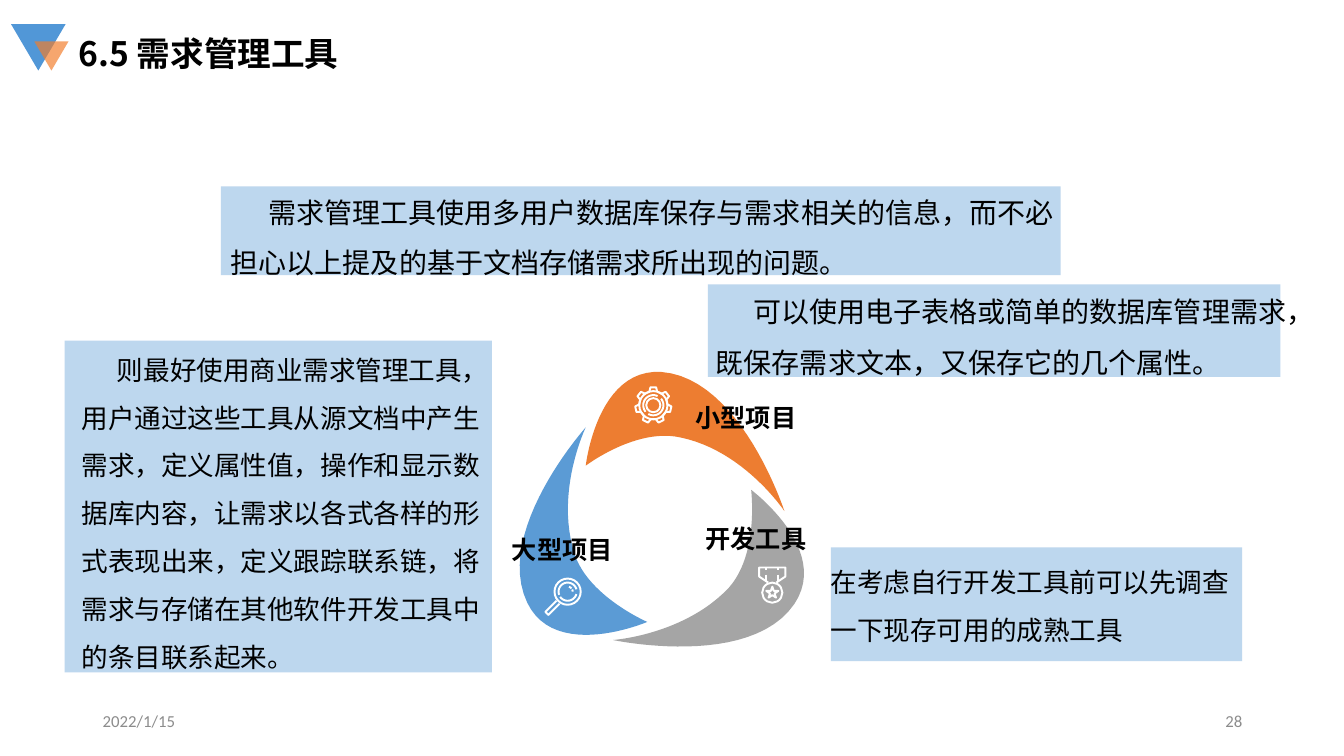
from dataclasses import dataclass
from math import cos, radians, sin

from lxml.etree import SubElement
from pptx import Presentation
from pptx.dml.color import RGBColor
from pptx.enum.shapes import MSO_SHAPE
from pptx.enum.text import MSO_ANCHOR, PP_ALIGN
from pptx.oxml.ns import qn
from pptx.util import Emu, Pt

PX = 9144  # 100 px to the inch
COLORS = {
    "panel": "BDD7EE", "small": "ED7D31", "large": "5B9BD5", "tool": "A5A5A5",
    "icon": "FFFFFF", "text": "000000", "footer": "8C8C8C",
    "mark_blue": "5197D7", "mark_orange": "F37D2A",
}
CJK, LATIN = "Noto Sans CJK SC", "Calibri"
ICON_LINE = Pt(1.4)

Point = tuple[float, float]
Box = tuple[int, int, int, int]


@dataclass
class Callout:
    panel: Box
    box: Box
    words: str
    size: int
    indent: int = 0
    insets: tuple[int, int] = (0, 0)


@dataclass
class Petal:
    """A closed outline of cubic curves, each with two controls and an end."""
    color: str
    start: Point
    curves: list[tuple[Point, Point, Point]]


@dataclass
class Label:
    box: Box
    words: str


@dataclass
class Footer:
    box: Box
    words: str
    align: PP_ALIGN


CALLOUTS = [
    Callout((219, 185, 833, 88), (219, 172, 849, 111),
            "需求管理工具使用多用户数据库保存与需求相关的信息，而不必担心以上提及的基于文档存储需求所出现的问题。",
            20, 37, (10, 5)),
    Callout((702, 282, 568, 92), (710, 276, 572, 100),
            "可以使用电子表格或简单的数据库管理需求，既保存需求文本，又保存它的几个属性。", 20, 37),
    Callout((64, 338, 424, 329), (81, 335, 408, 331),
            "则最好使用商业需求管理工具，用户通过这些工具从源文档中产生需求，定义属性值，操作和显示数据库内容，"
            "让需求以各式各样的形式表现出来，定义跟踪联系链，将需求与存储在其他软件开发工具中的条目联系起来。", 19, 35),
    Callout((824, 543, 408, 113), (824, 546, 408, 101),
            "在考虑自行开发工具前可以先调查一下现存可用的成熟工具", 19),
]
PETALS = [
    Petal("tool", (745, 486), [
        ((745, 486), (824, 545), (788, 599)), ((744, 664), (608, 635), (608, 635)),
        ((608, 635), (679, 630), (723, 583)), ((753, 549), (745, 486), (745, 486))]),
    Petal("large", (642, 617), [
        ((642, 617), (551, 656), (523, 598)), ((489, 527), (581, 424), (581, 424)),
        ((581, 424), (550, 488), (570, 550)), ((584, 592), (642, 617), (642, 617))]),
    Petal("small", (581, 462), [
        ((581, 462), (592, 365), (656, 369)), ((735, 375), (778, 507), (778, 507)),
        ((778, 507), (738, 447), (675, 434)), ((631, 424), (581, 462), (581, 462))]),
]
LABELS = [
    Label((680, 394, 120, 40), "小型项目"),
    Label((498, 525, 120, 40), "大型项目"),
    Label((690, 514, 120, 40), "开发工具"),
]
FOOTERS = [
    Footer((92, 695, 300, 40), "2022/1/15", PP_ALIGN.LEFT),
    Footer((942, 695, 300, 40), "28", PP_ALIGN.RIGHT),
]
GEAR, LENS, MEDAL = (648, 402), (563, 587), (766, 588)
TEETH = 7


def emu(box: Box) -> list[Emu]:
    return [Emu(length * PX) for length in box]


def rgb(color: str) -> RGBColor:
    return RGBColor.from_string(COLORS[color])


def paint(shape, color: str) -> None:
    shape.shadow.inherit = False
    shape.fill.solid()
    shape.fill.fore_color.rgb = rgb(color)
    shape.line.fill.background()


def outline(shape) -> None:
    shape.shadow.inherit = False
    shape.fill.background()
    shape.line.color.rgb = rgb("icon")
    shape.line.width = ICON_LINE


def write(shape, words: str, size: int, color: str = "text", font: str = CJK, bold: bool = False,
          align: PP_ALIGN = PP_ALIGN.LEFT, anchor: MSO_ANCHOR = MSO_ANCHOR.TOP, spacing: float = 1.0,
          indent: int = 0, insets: tuple[int, int] = (10, 5), wrap: bool = True) -> None:
    frame = shape.text_frame
    side, end = (Emu(inset * PX) for inset in insets)
    frame_format = {"word_wrap": wrap, "vertical_anchor": anchor, "margin_left": side,
                    "margin_right": side, "margin_top": end, "margin_bottom": end}
    paragraph = frame.paragraphs[0]
    run = paragraph.add_run()
    run.text = words
    formats = [
        (frame, frame_format),
        (paragraph, {"alignment": align, "line_spacing": spacing}),
        (run.font, {"name": font, "size": Pt(size), "bold": bold}),
    ]
    for target, values in formats:
        for attribute, value in values.items():
            setattr(target, attribute, value)
    run.font.color.rgb = rgb(color)
    SubElement(run.font._element, qn("a:ea"), typeface=font)
    if indent:
        paragraph._p.get_or_add_pPr().set("indent", str(indent * PX))


def polyline(shapes, points: list[Point], close: bool = False):
    start, *rest = [(round(x * PX), round(y * PX)) for x, y in points]
    builder = shapes.build_freeform(*start)
    builder.add_line_segments(rest, close=close)
    return builder.convert_to_shape()


def polar(center: Point, radius: float, angle: float) -> Point:
    return (center[0] + radius * cos(radians(angle)), center[1] + radius * sin(radians(angle)))


def draw_arc(shapes, center: Point, radius: int, first: int, last: int) -> None:
    outline(polyline(shapes, [polar(center, radius, a) for a in range(first, last + 1, 5)]))


def draw_ring(shapes, center: tuple[int, int], radius: int) -> None:
    x, y = center
    outline(shapes.add_shape(MSO_SHAPE.OVAL, *emu((x - radius, y - radius, 2 * radius, 2 * radius))))


def draw_petal(shapes, petal: Petal, steps: int = 24) -> None:
    points = [petal.start]
    for curve in petal.curves:
        corners = (points[-1], *curve)
        for step in range(1, steps + 1):
            t = step / steps
            weights = ((1 - t) ** 3, 3 * t * (1 - t) ** 2, 3 * t * t * (1 - t), t ** 3)
            points.append(tuple(sum(w * c[axis] for w, c in zip(weights, corners)) for axis in (0, 1)))
    paint(polyline(shapes, points, close=True), petal.color)


def draw_icons(shapes) -> None:
    tooth = ((14, -16), (18, -9), (18, 9), (14, 16))
    teeth = [polar(GEAR, radius, -90 + 360 / TEETH * i + turn) for i in range(TEETH) for radius, turn in tooth]
    outline(polyline(shapes, teeth, close=True))
    for center, radius in ((GEAR, 14), (GEAR, 7), (LENS, 13), (MEDAL, 10)):
        draw_ring(shapes, center, radius)
    arcs = [(GEAR, 10, 140, 295), (GEAR, 10, -40, 120), (LENS, 9, 15, 145),
            (LENS, 9, 160, 345), (LENS, 5, 285, 320), (LENS, 5, 335, 360)]
    for arc in arcs:
        draw_arc(shapes, *arc)
    handle = [(552, 596), (541, 607), (544, 610), (555, 599)]
    ribbon = [(762, 578), (753, 572), (753, 563), (779, 563), (779, 572), (770, 578)]
    folds = [[(x, top), (x, bottom)] for x in (760, 772) for top, bottom in ((563, 566), (570, 576))]
    for points in (handle, ribbon, *folds):
        outline(polyline(shapes, points))
    outline(shapes.add_shape(MSO_SHAPE.STAR_5_POINT, *emu((760, 582, 12, 11))))


def draw_heading(slide) -> None:
    for box, color in (((11, 24, 54, 46), "mark_blue"), ((34, 41, 34, 29), "mark_orange")):
        triangle = slide.shapes.add_shape(MSO_SHAPE.ISOSCELES_TRIANGLE, *emu(box))
        triangle.rotation = 180
        paint(triangle, color)
    tint = triangle._element.spPr.find(qn("a:solidFill"))[0]
    SubElement(tint, qn("a:alpha"), val="68000")
    title = slide.shapes.title
    title.left, title.top, title.width, title.height = emu((68, 28, 335, 50))
    write(title, "6.5 需求管理工具", 24, bold=True)


def main() -> None:
    deck = Presentation()
    deck.slide_width, deck.slide_height = Emu(1333 * PX), Emu(750 * PX)
    slide = deck.slides.add_slide(deck.slide_layouts[5])
    shapes = slide.shapes
    for callout in CALLOUTS:
        paint(shapes.add_shape(MSO_SHAPE.RECTANGLE, *emu(callout.panel)), "panel")
    for petal in PETALS:
        draw_petal(shapes, petal)
    draw_icons(shapes)
    for callout in CALLOUTS:
        write(shapes.add_textbox(*emu(callout.box)), callout.words, callout.size,
              spacing=1.5, indent=callout.indent, insets=callout.insets)
    for label in LABELS:
        write(shapes.add_textbox(*emu(label.box)), label.words, 18, bold=True, wrap=False)
    draw_heading(slide)
    for footer in FOOTERS:
        write(shapes.add_textbox(*emu(footer.box)), footer.words, 12, "footer", LATIN,
              align=footer.align, anchor=MSO_ANCHOR.MIDDLE)
    deck.save("out.pptx")


if __name__ == "__main__":
    main()
